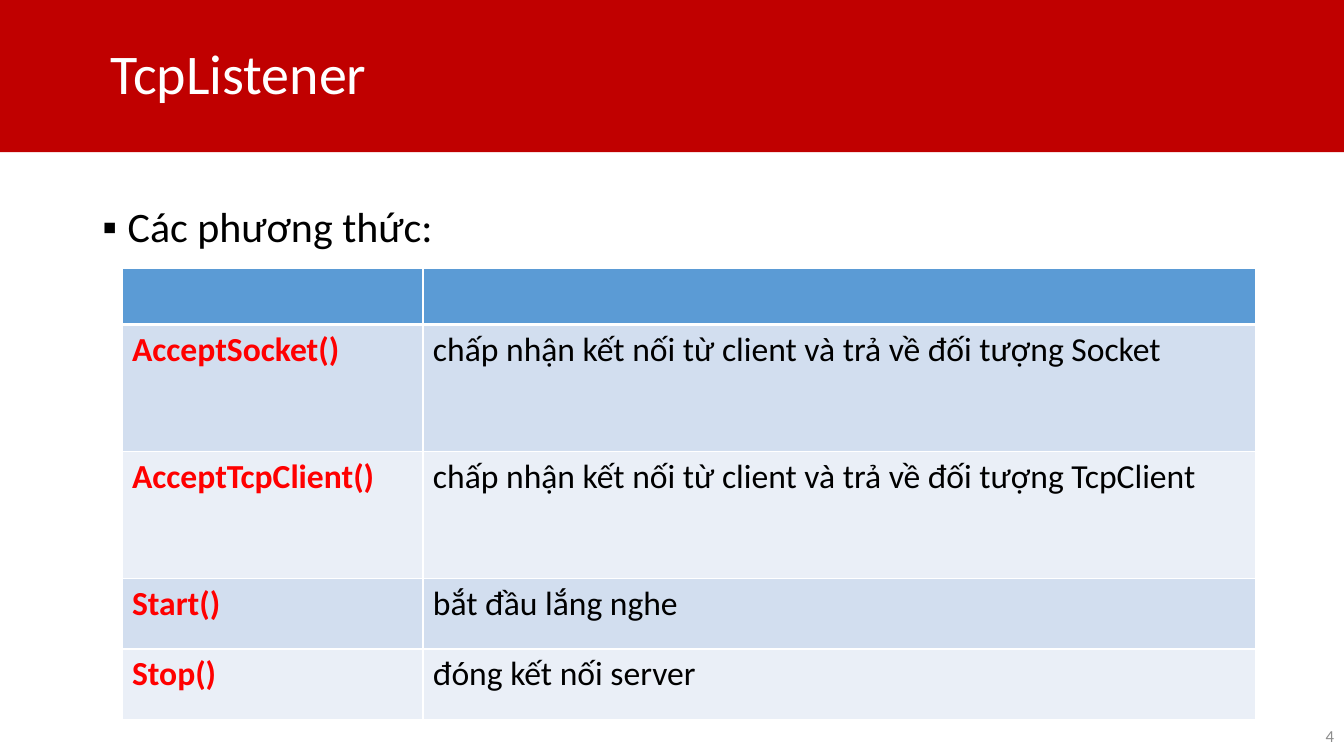
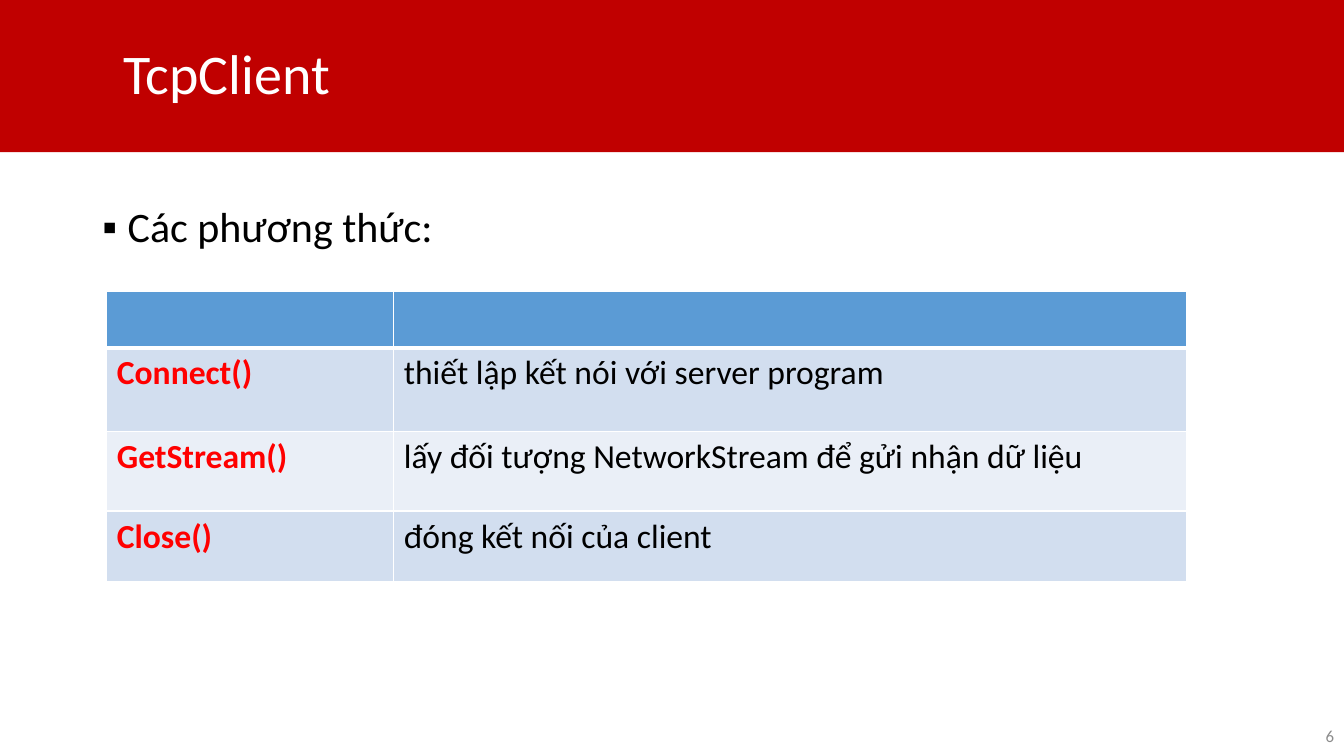
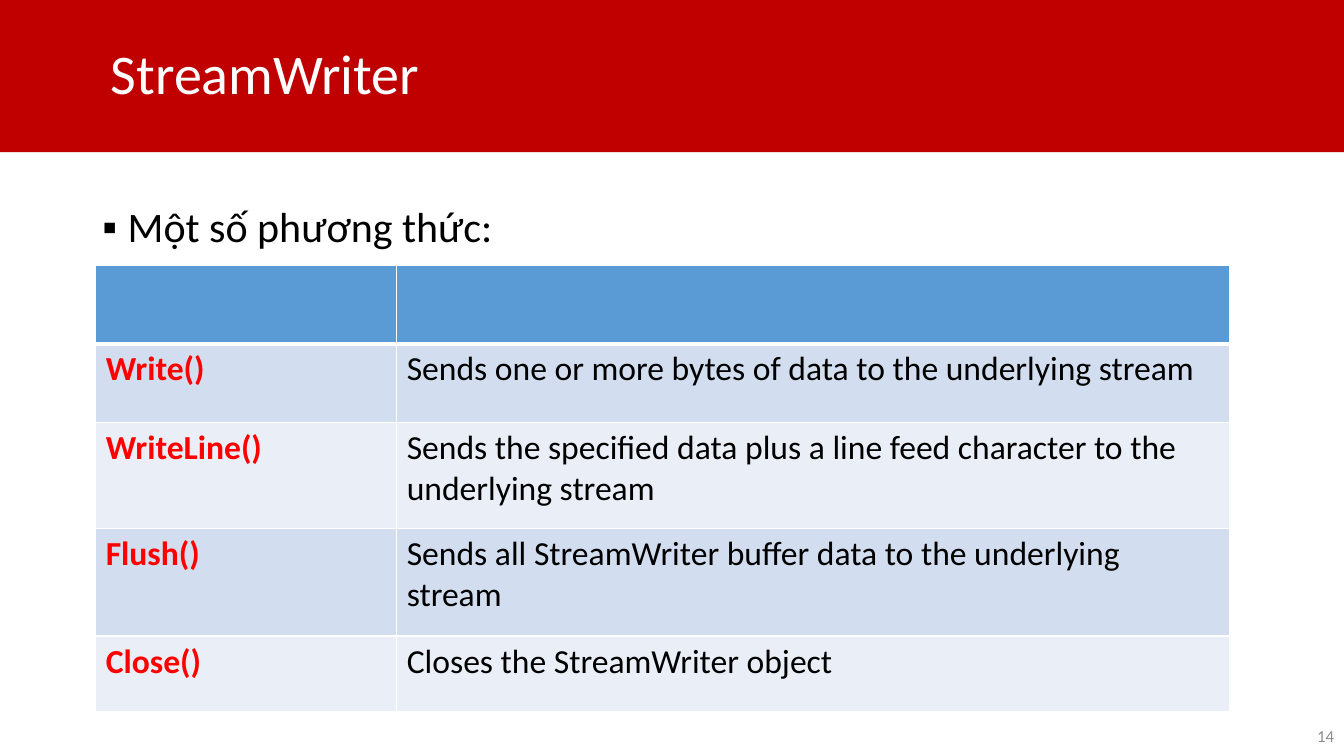
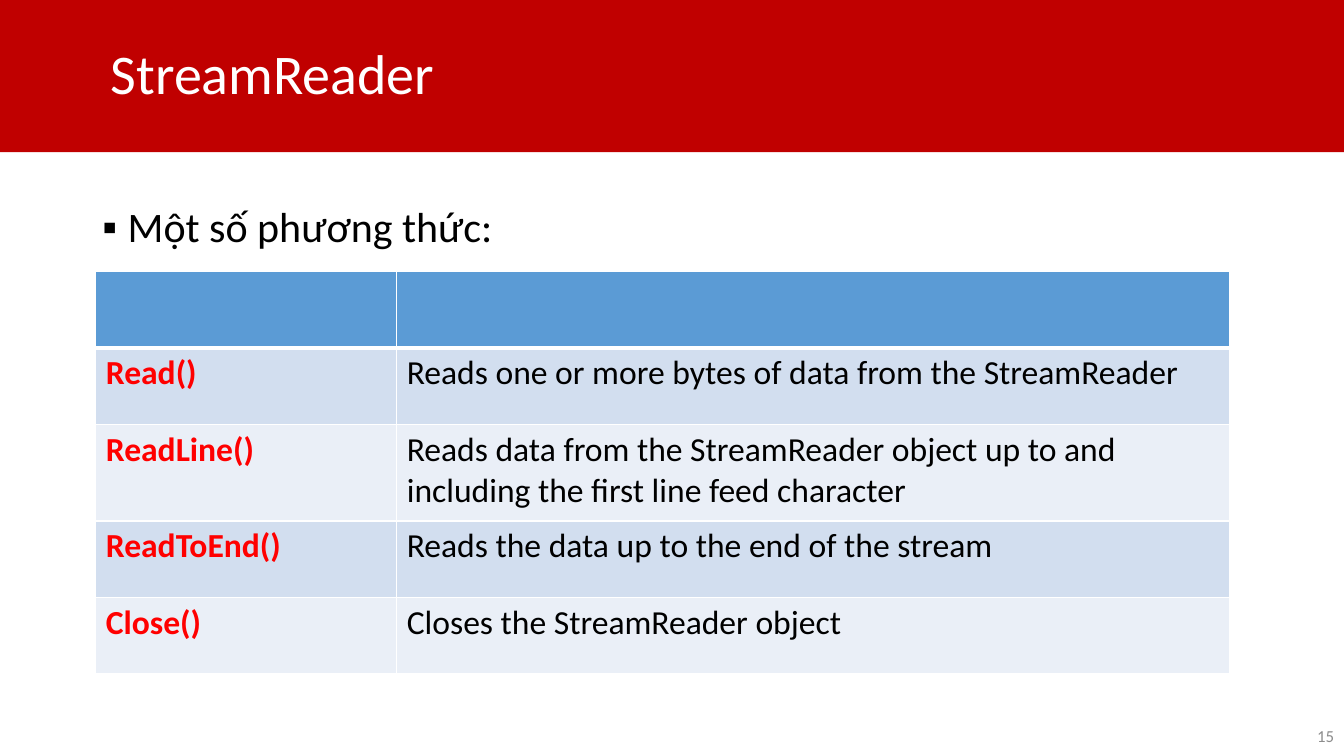
from dataclasses import dataclass

from lxml import etree
from pptx import Presentation
from pptx.dml.color import RGBColor
from pptx.enum.text import MSO_ANCHOR, MSO_AUTO_SIZE, PP_ALIGN
from pptx.oxml.ns import qn
from pptx.util import Pt

LEFT, RIGHT = PP_ALIGN.LEFT, PP_ALIGN.RIGHT
MIDDLE = MSO_ANCHOR.MIDDLE
NO_AUTOFIT = MSO_AUTO_SIZE.NONE
TITLE_AND_CONTENT = 1


@dataclass(frozen=True)
class Theme:
    font: str = "Calibri"
    band: str = "C00000"
    white: str = "FFFFFF"
    text: str = "000000"
    method: str = "FF0000"
    number: str = "8C8C8C"
    header: str = "5B9BD5"
    stripes: tuple = ("D2DEEF", "EAEFF7")
    title_size: int = 40
    body_size: int = 30
    table_size: int = 24
    number_size: int = 12
    line_spacing: float = 0.9
    border: int = 1
    header_border: int = 3


THEME = Theme()

# Left, top, width, height in points
SLIDE_SIZE = (960, 540)
TITLE_BAND = (0, 0, 960, 108.7)
BODY_BOX = (66, 144, 828, 342.7)
NUMBER_BOX = (744, 511.2, 216, 28.8)
TITLE_INDENT = 79.2
BULLET_INDENT = 18

SLIDES = [
    {
        "title": "TcpListener", "number": 4, "lead": "Các phương thức:",
        "at": (87.1, 191.5), "columns": (215, 595), "header_height": 40.3,
        "methods": [
            ("AcceptSocket()", "chấp nhận kết nối từ client và trả về đối tượng Socket", 90.7),
            ("AcceptTcpClient()", "chấp nhận kết nối từ client và trả về đối tượng TcpClient", 90.7),
            ("Start()", "bắt đầu lắng nghe", 50.4),
            ("Stop()", "đóng kết nối server", 50.4),
        ],
    },
    {
        "title": "TcpClient", "number": 6, "lead": "Các phương thức:",
        "title_shift": 9,
        "at": (76.3, 208.1), "columns": (205, 566.4), "header_height": 40.3,
        "methods": [
            ("Connect()", "thiết lập kết nói với server program", 59.8),
            ("GetStream()", "lấy đối tượng NetworkStream để gửi nhận dữ liệu", 56.9),
            ("Close()", "đóng kết nối của client", 50.4),
        ],
    },
    {
        "title": "StreamWriter", "number": 14, "lead": "Một số phương thức:",
        "at": (68.4, 189.4), "columns": (215, 595), "header_height": 56.2,
        "methods": [
            ("Write()", "Sends one or more bytes of data to the underlying stream", 56.2),
            ("WriteLine()", "Sends the specified data plus a line feed character to the underlying stream", 75.6),
            ("Flush()", "Sends all StreamWriter buffer data to the underlying stream", 77),
            ("Close()", "Closes the StreamWriter object", 54),
        ],
    },
    {
        "title": "StreamReader", "number": 15, "lead": "Một số phương thức:",
        "at": (68.4, 193.7), "columns": (215, 595), "header_height": 54.7,
        "methods": [
            ("Read()", "Reads one or more bytes of data from the StreamReader", 54.7),
            ("ReadLine()", "Reads data from the StreamReader object up to and including the first line feed character", 69.1),
            ("ReadToEnd()", "Reads the data up to the end of the stream", 54.7),
            ("Close()", "Closes the StreamReader object", 54.7),
        ],
    },
]


def color(value):
    return RGBColor.from_string(value)


def place(shape, area):
    shape.left, shape.top, shape.width, shape.height = map(Pt, area)


def write(frame, text, size, ink, bold=False, align=LEFT):
    frame.text = text
    para = frame.paragraphs[0]
    para.alignment = align
    font = para.runs[0].font
    font.name, font.size, font.bold = THEME.font, Pt(size), bold
    font.color.rgb = color(ink)
    return para


def add_title(page, text, shift):
    title = page.shapes.title
    place(title, TITLE_BAND)
    title.fill.solid()
    title.fill.fore_color.rgb = color(THEME.band)
    frame = title.text_frame
    frame.auto_size = NO_AUTOFIT
    frame.vertical_anchor = MIDDLE
    frame.margin_left = Pt(TITLE_INDENT + shift)
    para = write(frame, text, THEME.title_size, THEME.white)
    para.line_spacing = THEME.line_spacing


def add_lead(page, text):
    body = page.placeholders[1]
    place(body, BODY_BOX)
    body.text_frame.auto_size = NO_AUTOFIT
    para = write(body.text_frame, text, THEME.body_size, THEME.text)
    para.line_spacing = THEME.line_spacing
    para.space_before = Pt(10)
    props = para._p.get_or_add_pPr()
    props.set("marL", str(Pt(BULLET_INDENT)))
    props.set("indent", str(-Pt(BULLET_INDENT)))
    etree.SubElement(props, qn("a:buFont"), typeface="Arial")
    etree.SubElement(props, qn("a:buChar"), char="▪")


def add_number(page, number):
    box = page.shapes.add_textbox(*map(Pt, NUMBER_BOX))
    box.text_frame.word_wrap = True
    box.text_frame.vertical_anchor = MIDDLE
    write(box.text_frame, str(number), THEME.number_size, THEME.number, align=RIGHT)


def style_cell(cell, fill, top, bottom):
    """Draw the white borders, then the fill, in the order the schema asks for."""
    props = cell._tc.get_or_add_tcPr()
    widths = {"lnL": THEME.border, "lnR": THEME.border, "lnT": top, "lnB": bottom}
    for side, width in widths.items():
        line = etree.SubElement(props, qn(f"a:{side}"), w=str(Pt(width)))
        solid = etree.SubElement(line, qn("a:solidFill"))
        etree.SubElement(solid, qn("a:srgbClr"), val=THEME.white)
    cell.fill.solid()
    cell.fill.fore_color.rgb = color(fill)


def add_methods(page, at, columns, header_height, methods):
    heights = [header_height] + [height for _, _, height in methods]
    area = (*at, sum(columns), sum(heights))
    table = page.shapes.add_table(len(heights), len(columns), *map(Pt, area)).table
    for column, width in zip(table.columns, columns):
        column.width = Pt(width)
    for index, height in enumerate(heights):
        table.rows[index].height = Pt(height)
        fill = THEME.stripes[(index - 1) % 2] if index else THEME.header
        top = THEME.header_border if index == 1 else THEME.border
        bottom = THEME.border if index else THEME.header_border
        for cell in table.rows[index].cells:
            style_cell(cell, fill, top, bottom)
    for index, (name, purpose, _) in enumerate(methods, start=1):
        write(table.cell(index, 0).text_frame, name, THEME.table_size, THEME.method, bold=True)
        write(table.cell(index, 1).text_frame, purpose, THEME.table_size, THEME.text)


def main():
    deck = Presentation()
    deck.slide_width, deck.slide_height = map(Pt, SLIDE_SIZE)
    for content in SLIDES:
        page = deck.slides.add_slide(deck.slide_layouts[TITLE_AND_CONTENT])
        add_title(page, content["title"], content.get("title_shift", 0))
        add_lead(page, content["lead"])
        add_number(page, content["number"])
        add_methods(page, content["at"], content["columns"],
                    content["header_height"], content["methods"])
    deck.save("out.pptx")


if __name__ == "__main__":
    main()
